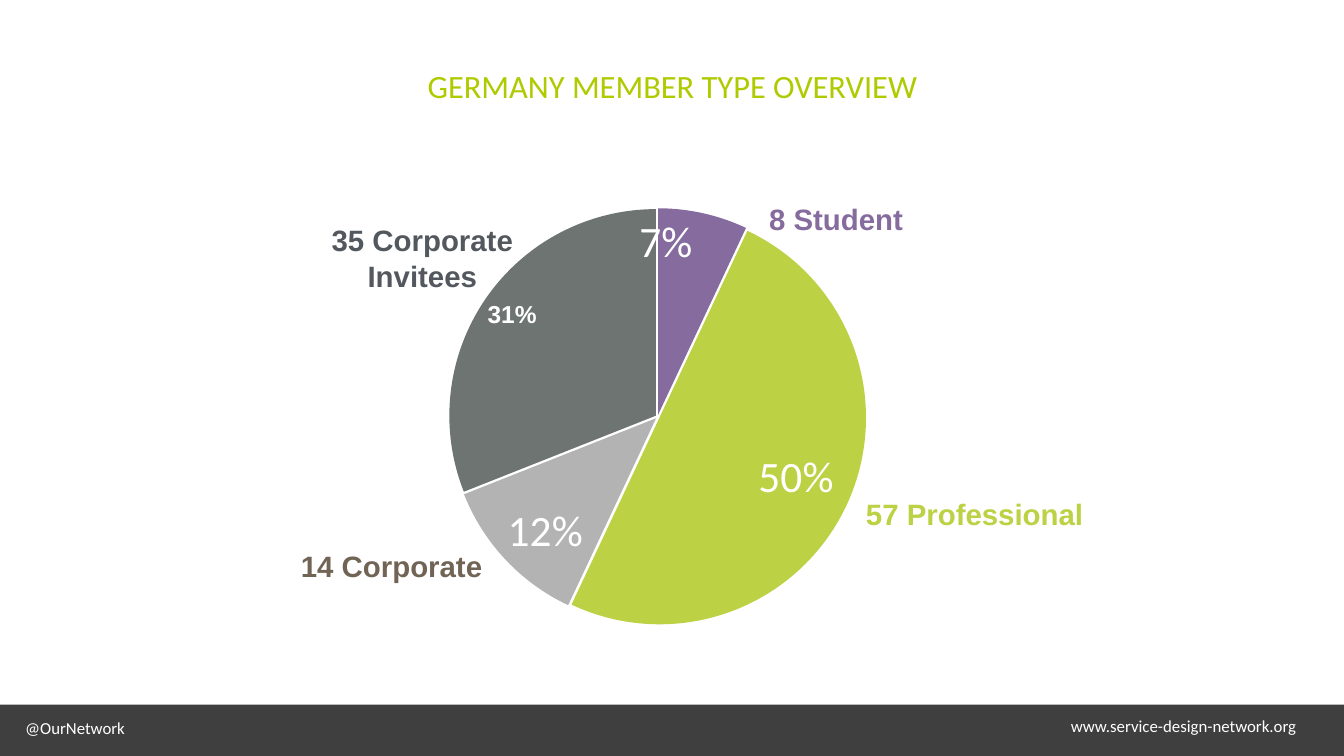
from lxml import etree
from pptx import Presentation
from pptx import util as u
from pptx.chart.data import CategoryChartData
from pptx.dml.color import RGBColor
from pptx.enum import chart as charts, shapes, text
from pptx.oxml import parse_xml
from pptx.oxml.ns import nsdecls, qn

COLORS = {
    "white": "FFFFFF", "footer": "3F3F3F", "title": "B0CA00", "black": "000000",
    "student": "866B9E", "professional": "BCD143", "corporate": "B3B3B3", "invitees": "6D7472",
    "corporate label": "716455", "invitees label": "53585F",
}
SHARES = {"student": 7, "professional": 50, "corporate": 12, "invitees": 31}
MEMBER_LABELS = [
    ("14 Corporate", (5.66, 10.67, 4.22, 1.13), "corporate label"),
    ("8 Student", (14.48, 3.77, 4.22, 1.13), "student"),
    ("57 Professional", (16.63, 9.42, 5.42, 1.56), "professional"),
    ("35 Corporate Invitees", (5.59, 4.18, 5.58, 1.87), "invitees label"),
]
PLOT_LAYOUT = {"x": 0.005, "y": 0.005, "w": 0.99, "h": 0.988}


def rgb(name):
    """Return the named palette color."""
    return RGBColor.from_string(COLORS[name])


def box(values):
    """Convert left, top, width and height to lengths."""
    return [u.Inches(value) for value in values]


def format_font(font, size, color, name="Calibri", bold=False):
    """Apply size, color, typeface and weight to a font."""
    font.size, font.name, font.bold = u.Pt(size), name, bold
    font.color.rgb = rgb(color)


def write_text(shape, content, size, color, name="Calibri", bold=False,
               align="LEFT", anchor="MIDDLE", inset=0.08, baseline=None):
    """Write one formatted paragraph into a shape."""
    frame = shape.text_frame
    frame.word_wrap = True
    frame.auto_size = text.MSO_AUTO_SIZE.NONE
    frame.vertical_anchor = text.MSO_ANCHOR[anchor]
    frame.margin_left = frame.margin_right = u.Inches(inset)
    frame.margin_top = frame.margin_bottom = u.Inches(inset)
    paragraph = frame.paragraphs[0]
    paragraph.alignment = text.PP_ALIGN[align]
    run = paragraph.add_run()
    run.text = content
    format_font(run.font, size, color, name, bold)
    if baseline:
        run._r.get_or_add_rPr().set("baseline", str(baseline * 1000))


def add_label(slide, content, position, **style):
    """Add a text box with one formatted paragraph."""
    write_text(slide.shapes.add_textbox(*box(position)), content, **style)


def add_title(slide, content):
    """Place and format the title placeholder."""
    title = slide.shapes.title
    title.left, title.top, title.width, title.height = box((6.14, 1.08, 14.4, 1.53))
    write_text(title, content, size=80, color="title", align="CENTER",
               anchor="TOP", inset=0.1, baseline=31)


def add_footer(slide):
    """Add the dark footer bar with its two texts."""
    bar = slide.shapes.add_shape(shapes.MSO_SHAPE.RECTANGLE, *box((0, 13.98, 26.67, 1.02)))
    bar.shadow.inherit = False
    bar.fill.solid()
    bar.fill.fore_color.rgb = rgb("footer")
    bar.line.fill.background()
    style = {"size": 24, "color": "white", "inset": 0.27}
    add_label(slide, "@OurNetwork", (0.23, 13.98, 6.6, 0.94), **style)
    add_label(slide, "www.service-design-network.org", (20.98, 13.93, 5.69, 0.94), **style)


def set_plot_layout(chart):
    """Fix the inner plot area within the chart frame."""
    plot_area = chart._chartSpace.chart.plotArea
    for old in plot_area.findall(qn("c:layout")):
        plot_area.remove(old)
    layout = parse_xml(f'<c:layout {nsdecls("c")}><c:manualLayout/></c:layout>')
    settings = {"layoutTarget": "inner", "xMode": "edge", "yMode": "edge", **PLOT_LAYOUT}
    for tag, value in settings.items():
        etree.SubElement(layout[0], qn(f"c:{tag}")).set("val", str(value))
    plot_area.insert(0, layout)


def format_labels(plot, series):
    """Show percentages inside the slices, the last one small and bold."""
    labels = plot.series[0].data_labels
    labels.show_percentage, labels.show_value = True, False
    labels.number_format, labels.number_format_is_linked = r"0%_);\(0%\)", False
    labels.position = charts.XL_LABEL_POSITION.INSIDE_END
    format_font(labels.font, 61.9, "white")
    label = series.points[len(SHARES) - 1].data_label
    format_font(label.font, 35, "white", "Arial", True)
    label.position = charts.XL_LABEL_POSITION.INSIDE_END
    element = labels._element.find(qn("c:dLbl"))
    element.find(qn("c:showVal")).set("val", "0")
    element.find(qn("c:showPercent")).set("val", "1")


def add_member_chart(slide):
    """Add the pie chart of member types."""
    data = CategoryChartData()
    data.categories = [str(number + 1) for number in range(len(SHARES))]
    data.add_series("Series 1", SHARES.values())
    chart = slide.shapes.add_chart(
        charts.XL_CHART_TYPE.PIE, *box((8.86, 4.09, 8.38, 8.38)), data).chart
    chart.has_legend = chart.has_title = False
    format_font(chart.font, 10, "black")
    plot = chart.plots[0]
    plot.vary_by_categories = False
    series = plot.series[0]
    series.format.fill.solid()
    series.format.fill.fore_color.rgb = rgb("student")
    explosion = parse_xml(f'<c:explosion {nsdecls("c")} val="1"/>')
    series._element.find(qn("c:spPr")).addnext(explosion)
    for index, name in enumerate(SHARES):
        fill = series.points[index].format.fill
        fill.solid()
        fill.fore_color.rgb = rgb(name)
    format_labels(plot, series)
    set_plot_layout(chart)


def main():
    """Build and save the member overview slide."""
    presentation = Presentation()
    presentation.slide_width, presentation.slide_height = u.Inches(26.67), u.Inches(15)
    slide = presentation.slides.add_slide(presentation.slide_layouts[5])
    add_footer(slide)
    add_member_chart(slide)
    for content, position, color in MEMBER_LABELS:
        add_label(slide, content, position, size=42, color=color,
                  name="Arial", bold=True, align="CENTER")
    add_title(slide, "GERMANY MEMBER TYPE OVERVIEW")
    presentation.save("out.pptx")


if __name__ == "__main__":
    main()
